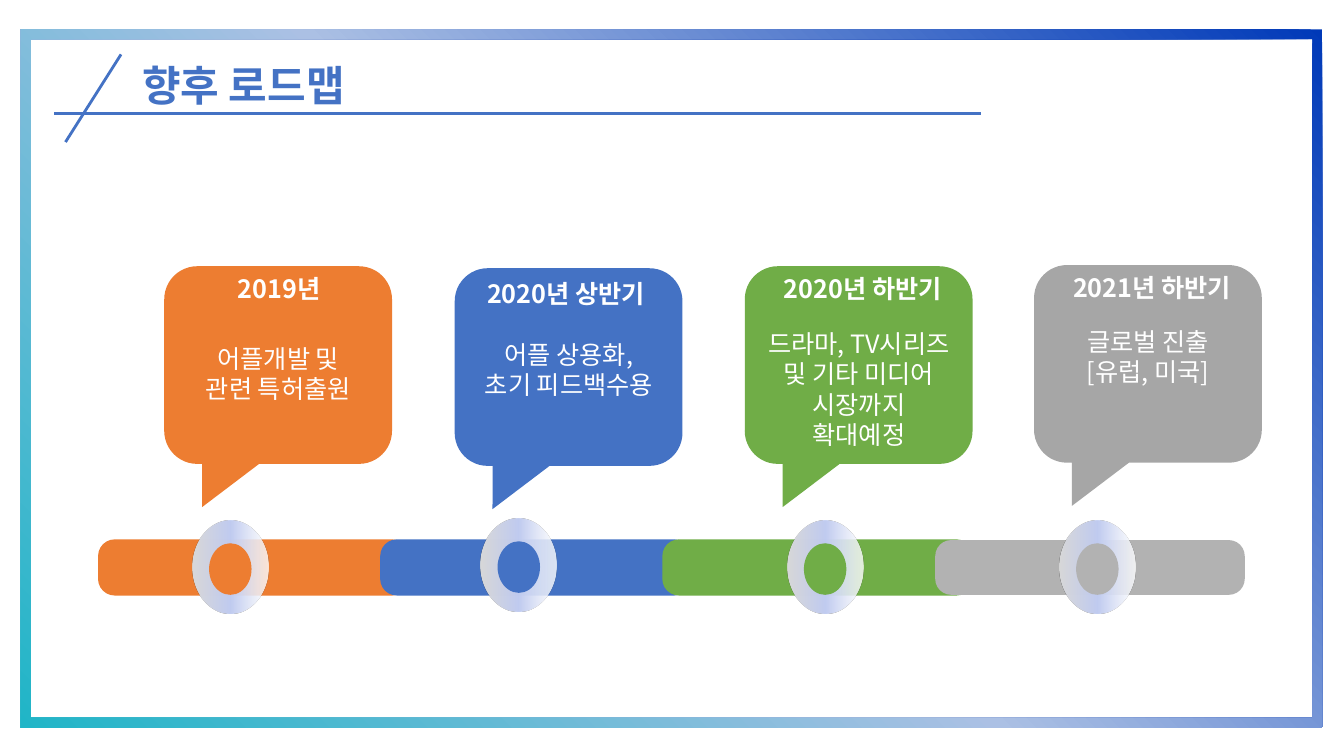
from lxml import etree
from pptx import Presentation
from pptx import util as u
from pptx.dml.color import RGBColor
from pptx.enum import shapes, text
from pptx.oxml.ns import qn

BLUE, ORANGE, GREEN, GREY, SILVER = "4472C4", "ED7D31", "70AD47", "A6A6A6", "B2B2B2"
FRAME_STOPS = [(0, "0039B8", 100), (51, "ABC0E4", 100), (100, "20B5C7", 100)]
RING_STOPS = [(0, "D9D9D9", 100), (50, "C0CBF0", 100), (100, "FFFFFF", 80)]


def colour(value):
    return RGBColor.from_string(value)


class RoadmapSlide:
    font = "Noto Sans CJK KR"

    def __init__(self, deck):
        self.slide = deck.slides.add_slide(deck.slide_layouts[5])

    def fill_text(self, box, lines, size, ink, bold=False, align=text.PP_ALIGN.CENTER):
        frame = box.text_frame
        frame.word_wrap = True
        frame.auto_size = text.MSO_AUTO_SIZE.NONE
        frame.vertical_anchor = text.MSO_ANCHOR.TOP
        for index, line in enumerate(lines):
            para = frame.add_paragraph() if index else frame.paragraphs[0]
            para.alignment = align
            span = para.add_run()
            span.text = line
            span.font.name = self.font
            span.font.size = u.Pt(size)
            span.font.bold = bold
            span.font.color.rgb = colour(ink)
            east = etree.SubElement(span.font._element, qn("a:ea"))
            east.set("typeface", self.font)

    def place(self, item, left, top, width, height):
        item.left, item.top = u.Cm(left), u.Cm(top)
        item.width, item.height = u.Cm(width), u.Cm(height)

    def title(self, line, left, top, width, height):
        box = self.slide.shapes.title
        self.place(box, left, top, width, height)
        self.fill_text(box, [line], 30, BLUE, True, text.PP_ALIGN.LEFT)
        box.text_frame.vertical_anchor = text.MSO_ANCHOR.MIDDLE

    def label(self, lines, left, top, width, height, bold=False):
        box = self.slide.shapes.add_textbox(
            u.Cm(left), u.Cm(top), u.Cm(width), u.Cm(height))
        self.fill_text(box, lines, 18, "FFFFFF", bold)

    def shape(self, kind, left, top, width, height, fill=None, line=None, adjust=()):
        item = self.slide.shapes.add_shape(
            kind, u.Cm(left), u.Cm(top), u.Cm(width), u.Cm(height))
        item.shadow.inherit = False
        for index, value in enumerate(adjust):
            item.adjustments[index] = value
        if fill:
            item.fill.solid()
            item.fill.fore_color.rgb = colour(fill)
        if line:
            item.line.color.rgb = colour(line)
            item.line.width = u.Pt(1)
        else:
            item.line.fill.background()
        return item

    def gradient(self, item, stops, angle):
        fill = etree.Element(qn("a:gradFill"), rotWithShape="1")
        stop_list = etree.SubElement(fill, qn("a:gsLst"))
        for position, tint, opacity in stops:
            stop = etree.SubElement(stop_list, qn("a:gs"), pos=str(position * 1000))
            shade = etree.SubElement(stop, qn("a:srgbClr"), val=tint)
            if opacity < 100:
                etree.SubElement(shade, qn("a:alpha"), val=str(opacity * 1000))
        etree.SubElement(fill, qn("a:lin"), ang=str(angle * 60000), scaled="0")
        item._element.spPr.find(qn("a:prstGeom")).addnext(fill)

    def line(self, x1, y1, x2, y2):
        rule = self.slide.shapes.add_connector(
            shapes.MSO_CONNECTOR.STRAIGHT, u.Cm(x1), u.Cm(y1), u.Cm(x2), u.Cm(y2))
        rule.line.color.rgb = colour(BLUE)
        rule.line.width = u.Pt(2)
        etree.SubElement(rule._element.spPr, qn("a:effectLst"))

    def bar(self, left, fill, line):
        self.shape(shapes.MSO_SHAPE.ROUNDED_RECTANGLE, left, 13.61, 7.8, 1.38,
                   fill, line, [0.292])

    def marker(self, left, top, fill):
        ring = self.shape(shapes.MSO_SHAPE.OVAL, left, top, 1.91, 2.34)
        self.gradient(ring, RING_STOPS, 0)
        self.shape(shapes.MSO_SHAPE.OVAL, left + 0.42, top + 0.56, 1.07, 1.3, fill)

    def callout(self, left, top, fill, heading, heading_at, lines, body_top, body_height):
        self.shape(shapes.MSO_SHAPE.ROUNDED_RECTANGULAR_CALLOUT, left, top, 5.74, 4.98,
                   fill, adjust=[-0.334, 0.719, 0.167])
        self.label([heading], *heading_at, 5.13, 1.02, bold=True)
        self.label(lines, left, body_top, 5.75, body_height)


def main():
    deck = Presentation()
    deck.slide_width, deck.slide_height = u.Cm(33.87), u.Cm(19.05)
    page = RoadmapSlide(deck)

    border = page.shape(shapes.MSO_SHAPE.FRAME, 0.53, 0.74, 32.79, 17.6, adjust=[0.014])
    page.gradient(border, FRAME_STOPS, 135)
    page.line(24.71, 2.87, 1.35, 2.87)
    page.line(1.65, 3.58, 3.05, 1.37)
    page.title("향후 로드맵", 3.33, 1.37, 21.69, 1.55)

    for left, fill, line in [(2.49, ORANGE, ORANGE), (9.6, BLUE, BLUE),
                             (16.71, GREEN, GREEN), (23.57, SILVER, None)]:
        page.bar(left, fill, line)
    for left, top, fill in [(4.85, 13.13, ORANGE), (12.12, 13.08, BLUE),
                            (19.84, 13.13, GREEN), (26.7, 13.13, SILVER)]:
        page.marker(left, top, fill)

    stages = [
        (4.14, 6.71, ORANGE, "2019년", (4.47, 6.76),
         ["어플개발 및", "관련 특허출원"], 8.53, 1.8),
        (11.46, 6.76, BLUE, "2020년 상반기", (11.7, 6.88),
         ["어플 상용화,", "초기 피드백수용"], 8.43, 2.57),
        (18.77, 6.71, GREEN, "2020년 하반기", (19.18, 6.76),
         ["드라마, TV시리즈", "및 기타 미디어 시장까지", "확대예정"], 8.15, 3.33),
        (26.06, 6.68, GREY, "2021년 하반기", (26.47, 6.73),
         ["글로벌 진출", "[유럽, 미국]"], 8.1, 1.8),
    ]
    for stage in stages:
        page.callout(*stage)

    deck.save("out.pptx")


if __name__ == "__main__":
    main()
